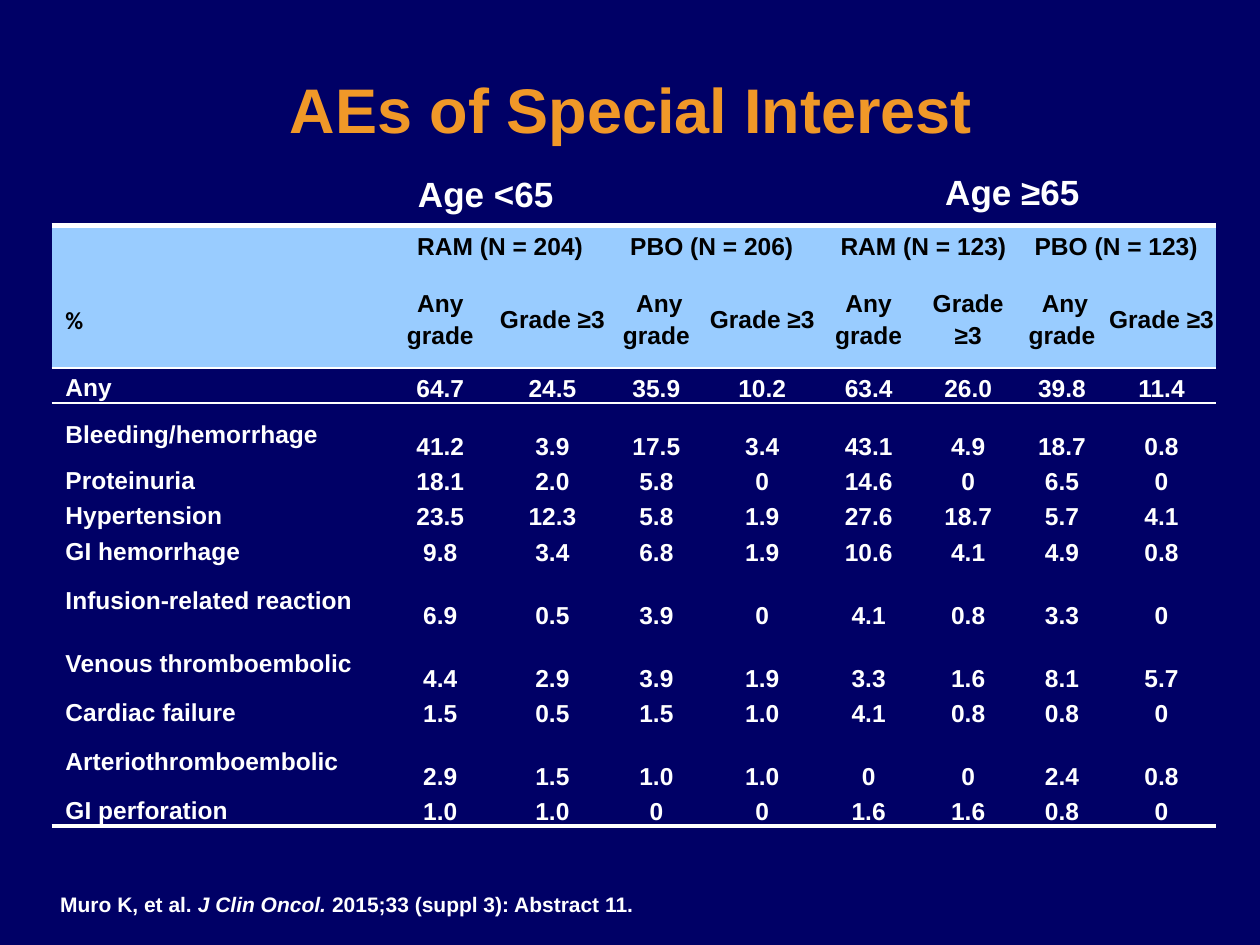
from lxml import etree
from pptx import Presentation, util as u
from pptx.dml.color import RGBColor
from pptx.enum import text
from pptx.oxml import parse_xml
from pptx.oxml.ns import nsdecls, qn

COLORS = {"navy": "000066", "orange": "F09828", "sky": "99CCFF",
          "white": "FFFFFF", "black": "000000"}
LEFT, CENTER = text.PP_ALIGN.LEFT, text.PP_ALIGN.CENTER
MIDDLE, BOTTOM, TOP = text.MSO_ANCHOR.MIDDLE, text.MSO_ANCHOR.BOTTOM, text.MSO_ANCHOR.TOP
NO_STYLE = "{2D5ABB26-0587-4C30-8999-92F81FD0307C}"

TITLE = "AEs of Special Interest"
AGES = [("Age <65", 2.52, 1.34), ("Age ≥65", 6.7, 1.33)]
CITATION = [("Muro K, et al. ", False), ("J Clin Oncol. ", True),
            ("2015;33 (suppl 3): Abstract 11.", False)]
ARMS = ["RAM (N = 204)", "PBO (N = 206)", "RAM (N = 123)", "PBO (N = 123)"]
GRADES = ["Any grade", "Grade ≥3", " Any grade", "Grade ≥3"] * 2
EVENTS = [
    ("Any", "64.7", "24.5", "35.9", "10.2", "63.4", "26.0", "39.8", "11.4"),
    ("Bleeding/hemorrhage", "41.2", "3.9", "17.5", "3.4", "43.1", "4.9", "18.7", "0.8"),
    ("Proteinuria", "18.1", "2.0", "5.8", "0", "14.6", "0", "6.5", "0"),
    ("Hypertension", "23.5", "12.3", "5.8", "1.9", "27.6", "18.7", "5.7", "4.1"),
    ("GI hemorrhage", "9.8", "3.4", "6.8", "1.9", "10.6", "4.1", "4.9", "0.8"),
    ("Infusion-related reaction", "6.9", "0.5", "3.9", "0", "4.1", "0.8", "3.3", "0"),
    ("Venous thromboembolic", "4.4", "2.9", "3.9", "1.9", "3.3", "1.6", "8.1", "5.7"),
    ("Cardiac failure", "1.5", "0.5", "1.5", "1.0", "4.1", "0.8", "0.8", "0"),
    ("Arteriothromboembolic", "2.9", "1.5", "1.0", "1.0", "0", "0", "2.4", "0.8"),
    ("GI perforation", "1.0", "1.0", "0", "0", "1.6", "1.6", "0.8", "0"),
]
COLS = [2.62, 0.93, 0.85, 0.8, 0.88, 0.81, 0.77, 0.72, 0.86]
ROWS = [0.34, 0.79, 0.27, 0.46, 0.27, 0.28, 0.28, 0.5, 0.5, 0.28, 0.5, 0.25]
RULES = {0: [("T", 3)], 1: [("B", 1)], 2: [("T", 1)], len(ROWS) - 1: [("B", 3)]}


def rgb(name):
    return RGBColor.from_string(COLORS[name])


def add_run(p, words, size, color, font="Arial", italic=False):
    r = p.add_run()
    r.text = words
    values = {"name": font, "size": u.Pt(size), "bold": True, "italic": italic}
    for key, value in values.items():
        setattr(r.font, key, value)
    r.font.color.rgb = rgb(color)
    return r


def add_box(s, box, runs, size, color, align, spacing, anchor=TOP):
    tf = s.shapes.add_textbox(*map(u.Inches, box)).text_frame
    tf.word_wrap, tf.vertical_anchor = True, anchor
    p = tf.paragraphs[0]
    p.alignment, p.line_spacing = align, spacing
    return [add_run(p, words, size, color, italic=italic) for words, italic in runs]


def add_shadow(r):
    effect = parse_xml(
        f'<a:effectLst {nsdecls("a")}><a:outerShdw blurRad="38100" dist="38100" dir="2700000">'
        f'<a:srgbClr val="{COLORS["black"]}"/></a:outerShdw></a:effectLst>')
    r.font._element.find(qn("a:solidFill")).addnext(effect)


def add_rule(cell, side, points):
    cell._tc.get_or_add_tcPr().insert(0, parse_xml(
        f'<a:ln{side} {nsdecls("a")} w="{u.Pt(points)}"><a:solidFill>'
        f'<a:srgbClr val="{COLORS["white"]}"/></a:solidFill></a:ln{side}>'))


def cell_margins(row, col):
    if row == 0:
        return (0.1 if col in (1, 5) else 0, 0, 0, 0)
    if col in (1, 5):
        return (0.1, 0.05, 0.1, 0.05) if row == 1 else (0, 0, 0, 0)
    if row == 1 and col:
        return (0, 0, 0, 0)
    return (0.01, 0.01, 0.01, 0)


def fill_cell(cell, words, row, col):
    header = row < 2
    sides = ("margin_left", "margin_top", "margin_right", "margin_bottom")
    for side, value in zip(sides, cell_margins(row, col)):
        setattr(cell, side, u.Inches(value))
    cell.vertical_anchor = MIDDLE if header or col == 0 else BOTTOM
    if header:
        cell.fill.solid()
        cell.fill.fore_color.rgb = rgb("sky")
    else:
        cell.fill.background()
    for side, points in RULES.get(row, []):
        add_rule(cell, side, points)
    if not words:
        return
    p = cell.text_frame.paragraphs[0]
    p.alignment = CENTER if col else LEFT
    if row:
        p.line_spacing = 1.15
    if col == 0:
        p._p.get_or_add_pPr().set("marL", str(u.Inches(0.1)))
    add_run(p, words, 14, "black" if header else "white",
            "Calibri" if words == "%" else "Arial")


def add_event_table(s):
    arms = [""] + [words for arm in ARMS for words in (arm, "")]
    content = [arms, ["%"] + GRADES] + EVENTS
    frame = s.shapes.add_table(len(ROWS), len(COLS), u.Inches(0.41), u.Inches(1.79),
                               u.Inches(sum(COLS)), u.Inches(sum(ROWS)))
    table = frame.table
    table.first_row = table.horz_banding = False
    table._tbl.tblPr.find(qn("a:tableStyleId")).text = NO_STYLE
    for column, width in zip(table.columns, COLS):
        column.width = u.Inches(width)
    for row, height in enumerate(ROWS):
        table.rows[row].height = u.Inches(height)
        for col, words in enumerate(content[row]):
            fill_cell(table.cell(row, col), words, row, col)
    for col in range(1, len(COLS), 2):
        table.cell(0, col).merge(table.cell(0, col + 1))


def main():
    prs = Presentation()
    prs.slide_width, prs.slide_height = u.Inches(10), u.Inches(7.5)
    s = prs.slides.add_slide(prs.slide_layouts[6])
    s.background.fill.solid()
    s.background.fill.fore_color.rgb = rgb("navy")
    title = add_box(s, (0.01, 0.52, 10, 0.75), [(TITLE, False)], 36, "orange",
                    CENTER, 0.9, MIDDLE)
    add_shadow(title[0])
    add_event_table(s)
    for words, left, top in AGES:
        add_box(s, (left, top, 2.67, 0.42), [(words, False)], 20, "white", CENTER, 0.95)
    add_box(s, (0.38, 7.04, 6.63, 0.29), CITATION, 12, "white", LEFT, 0.95)
    prs.save("out.pptx")


if __name__ == "__main__":
    main()
